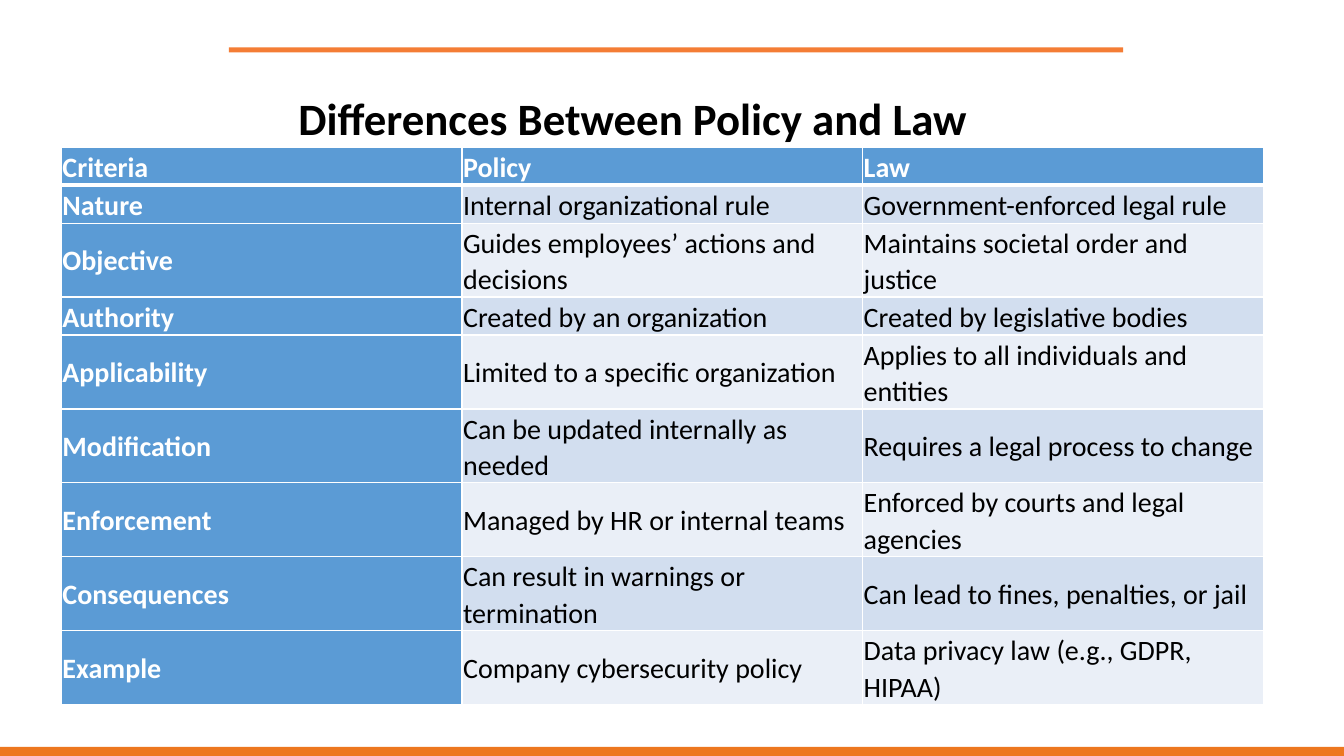
from typing import NamedTuple

from lxml.etree import SubElement
from pptx import Presentation
from pptx.dml.color import RGBColor
from pptx.enum.shapes import MSO_SHAPE
from pptx.enum.text import MSO_ANCHOR, MSO_AUTO_SIZE, PP_ALIGN
from pptx.oxml.ns import qn
from pptx.slide import Slide
from pptx.table import _Cell as Cell
from pptx.text.text import _Paragraph as Paragraph
from pptx.util import Inches, Pt

FONT = "Calibri"
BLACK = RGBColor(0x00, 0x00, 0x00)
WHITE = RGBColor(0xFF, 0xFF, 0xFF)
HEADING_BLUE = RGBColor(0x5B, 0x9B, 0xD5)
BAND_DARK = RGBColor(0xD2, 0xDE, 0xEF)
BAND_LIGHT = RGBColor(0xEA, 0xEF, 0xF7)
FOOTER_ORANGE = RGBColor(0xED, 0x77, 0x1F)
RULE_ORANGE = RGBColor(0xF4, 0x7D, 0x35)


class Bar(NamedTuple):
    left: float
    top: float
    width: float
    height: float
    color: RGBColor


class Comparison(NamedTuple):
    criterion: str
    policy: str
    law: str
    height: float


BARS = [
    Bar(0, 7.41, 13.33, 0.09, FOOTER_ORANGE),
    Bar(2.27, 0.47, 8.87, 0.05, RULE_ORANGE),
]
ONE_LINE, TWO_LINES = 0.36, 0.7
COMPARISONS = [
    Comparison("Criteria", "Policy", "Law", ONE_LINE),
    Comparison("Nature", "Internal organizational rule", "Government-enforced legal rule", ONE_LINE),
    Comparison("Objective", "Guides employees’ actions and decisions",
               "Maintains societal order and justice", TWO_LINES),
    Comparison("Authority", "Created by an organization", "Created by legislative bodies", ONE_LINE),
    Comparison("Applicability", "Limited to a specific organization",
               "Applies to all individuals and entities", TWO_LINES),
    Comparison("Modification", "Can be updated internally as needed",
               "Requires a legal process to change", TWO_LINES),
    Comparison("Enforcement", "Managed by HR or internal teams",
               "Enforced by courts and legal agencies", TWO_LINES),
    Comparison("Consequences", "Can result in warnings or termination",
               "Can lead to fines, penalties, or jail", TWO_LINES),
    Comparison("Example", "Company cybersecurity policy",
               "Data privacy law (e.g., GDPR, HIPAA)", TWO_LINES),
]


def add_bar(slide: Slide, bar: Bar) -> None:
    shape = slide.shapes.add_shape(
        MSO_SHAPE.RECTANGLE, Inches(bar.left), Inches(bar.top), Inches(bar.width), Inches(bar.height))
    shape.shadow.inherit = False
    shape.fill.solid()
    shape.fill.fore_color.rgb = bar.color
    shape.line.fill.background()


def add_run(paragraph: Paragraph, text: str, size: int, color: RGBColor, bold: bool) -> None:
    paragraph.alignment = PP_ALIGN.LEFT
    paragraph.line_spacing = 1.07
    run = paragraph.add_run()
    run.text = text
    run.font.name = FONT
    run.font.size = Pt(size)
    run.font.bold = bold
    run.font.color.rgb = color


def add_title(slide: Slide, text: str) -> None:
    title = slide.shapes.title
    title.left, title.top = Inches(2.86), Inches(0.81)
    title.width, title.height = Inches(6.94), Inches(0.65)
    frame = title.text_frame
    frame.word_wrap = False
    frame.auto_size = MSO_AUTO_SIZE.SHAPE_TO_FIT_TEXT
    frame.vertical_anchor = MSO_ANCHOR.TOP
    paragraph = frame.paragraphs[0]
    add_run(paragraph, text, 32, BLACK, True)
    paragraph.space_after = Pt(8)


def set_borders(cell: Cell, top: int, bottom: int) -> None:
    """Draw white cell borders; widths are in points and the sides are 1 pt."""
    properties = cell._tc.get_or_add_tcPr()
    for tag, width in (("a:lnL", 1), ("a:lnR", 1), ("a:lnT", top), ("a:lnB", bottom)):
        line = SubElement(properties, qn(tag), w=str(Pt(width)))
        fill = SubElement(line, qn("a:solidFill"))
        SubElement(fill, qn("a:srgbClr"), val=str(WHITE))


def fill_cell(cell: Cell, text: str, row: int, column: int) -> None:
    heading = row == 0 or column == 0
    band = BAND_DARK if row % 2 else BAND_LIGHT
    set_borders(cell, top=3 if row == 1 else 1, bottom=3 if row == 0 else 1)
    cell.fill.solid()
    cell.fill.fore_color.rgb = HEADING_BLUE if heading else band
    cell.vertical_anchor = MSO_ANCHOR.MIDDLE
    cell.margin_left = cell.margin_right = Inches(0.01)
    cell.margin_top = cell.margin_bottom = Inches(0.01)
    add_run(cell.text_frame.paragraphs[0], text, 20, WHITE if heading else BLACK, heading)


def add_comparison_table(slide: Slide) -> None:
    height = sum(comparison.height for comparison in COMPARISONS)
    table = slide.shapes.add_table(
        len(COMPARISONS), 3, Inches(0.61), Inches(1.46), Inches(11.92), Inches(height)).table
    for row, comparison in enumerate(COMPARISONS):
        table.rows[row].height = Inches(comparison.height)
        texts = (comparison.criterion, comparison.policy, comparison.law)
        for column, text in enumerate(texts):
            fill_cell(table.cell(row, column), text, row, column)


def main() -> None:
    presentation = Presentation()
    presentation.slide_width, presentation.slide_height = Inches(13.33), Inches(7.5)
    slide = presentation.slides.add_slide(presentation.slide_layouts.get_by_name("Title Only"))
    for bar in BARS:
        add_bar(slide, bar)
    add_title(slide, "Differences Between Policy and Law")
    add_comparison_table(slide)
    presentation.save("out.pptx")


if __name__ == "__main__":
    main()
